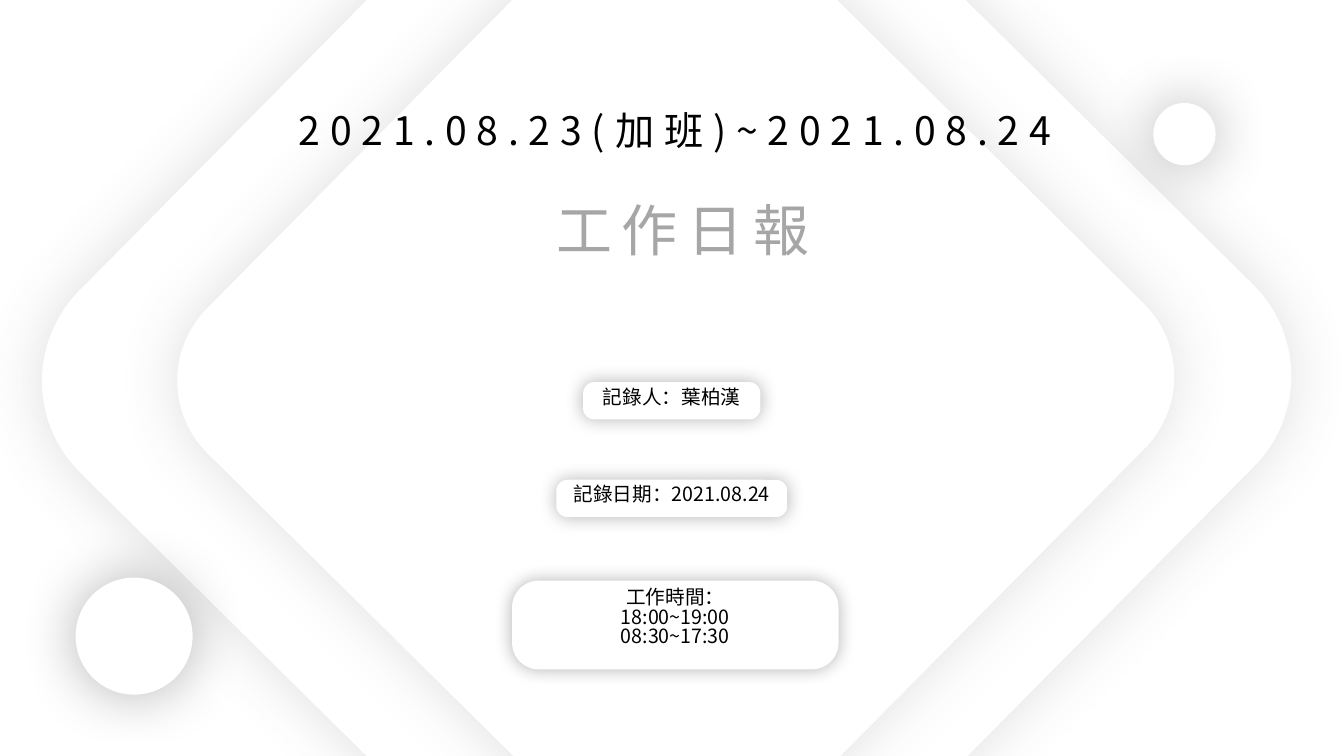
from lxml.etree import SubElement as Sub
from pptx import Presentation as Deck
from pptx.dml.color import RGBColor
from pptx.enum.shapes import MSO_SHAPE as Kind
from pptx.enum.text import MSO_ANCHOR as Anchor, MSO_AUTO_SIZE as Fit, PP_ALIGN as Align
from pptx.oxml.ns import qn
from pptx.util import Cm, Pt

WHITE = RGBColor(0xFF, 0xFF, 0xFF)
BLACK = RGBColor(0x00, 0x00, 0x00)
GRAY = RGBColor(0xA6, 0xA6, 0xA6)
SMOKE = RGBColor(0x59, 0x59, 0x59)
FONT = "Noto Sans CJK SC"


def write(frame, text, size=14, color=BLACK, gap=0):
    for i, line in enumerate(text.split("\n")):
        para = frame.add_paragraph() if i else frame.paragraphs[0]
        para.alignment = Align.CENTER
        para.line_spacing = 0.83
        run = para.add_run()
        run.text = line
        font = run.font
        font.size = Pt(size)
        font.color.rgb = color
        font.name = FONT
        props = run._r.get_or_add_rPr()
        Sub(props, qn("a:ea"), typeface=FONT)
        if gap:
            props.set("spc", str(gap * 100))


class Page:
    def __init__(self, deck):
        self.slide = deck.slides.add_slide(deck.slide_layouts[6])
        self.shapes = self.slide.shapes
        fill = self.slide.background.fill
        fill.solid()
        fill.fore_color.rgb = WHITE

    def box(self, x, y, wide, high):
        return Cm(x - wide / 2), Cm(y - high / 2), Cm(wide), Cm(high)

    def glow(self, shape, color, alpha, blur):
        shape.shadow.inherit = False
        effect = shape._element.spPr.find(qn("a:effectLst"))
        outer = Sub(effect, qn("a:outerShdw"), blurRad=str(Pt(blur)), dist="0",
                    dir="0", algn="ctr", rotWithShape="0")
        tint = Sub(outer, qn("a:srgbClr"), val=str(color))
        Sub(tint, qn("a:alpha"), val=str(alpha * 1000))

    def plate(self, kind, x, y, wide, high, color=BLACK, alpha=30, blur=43, bend=None, turn=0):
        shape = self.shapes.add_shape(kind, *self.box(x, y, wide, high))
        shape.fill.solid()
        shape.fill.fore_color.rgb = WHITE
        shape.line.fill.background()
        shape.rotation = turn
        if bend is not None:
            shape.adjustments[0] = bend
        self.glow(shape, color, alpha, blur)
        return shape

    def text(self, words, x, y, wide, high, **style):
        label = self.shapes.add_textbox(*self.box(x, y, wide, high))
        frame = label.text_frame
        frame.word_wrap = True
        frame.auto_size = Fit.SHAPE_TO_FIT_TEXT
        frame.vertical_anchor = Anchor.TOP
        write(frame, words, **style)
        return label

    def diamond(self, x, y, side):
        self.plate(Kind.ROUNDED_RECTANGLE, x, y, side, side,
                   color=SMOKE, alpha=19, bend=0.134, turn=44.7)

    def disc(self, x, y, size):
        self.plate(Kind.OVAL, x, y, size, size)

    def pill(self, words, x, y, wide, high, span, tall):
        plate = self.plate(Kind.ROUNDED_RECTANGLE, x, y, wide, high, blur=13, bend=0.302)
        label = self.text(words, x, y, span, tall)
        self.shapes.add_group_shape([plate, label])


deck = Deck()
deck.slide_width, deck.slide_height = Cm(33.87), Cm(19.05)
page = Page(deck)

page.diamond(16.8, 9.54, 24.16)
page.diamond(17.03, 9.54, 19.28)
page.text("2021.08.23(加班)~2021.08.24", 17.01, 3.49, 20.5, 1.45, size=28, gap=7)
page.text("工作日報", 17.21, 6.08, 12.07, 1.96, size=40, color=GRAY, gap=7)
page.disc(3.38, 16.03, 2.95)
page.disc(29.85, 3.38, 1.57)
page.pill("記錄人：葉柏漢", 16.93, 10.1, 4.47, 0.94, 5.31, 0.86)
page.pill("記錄日期：2021.08.24", 16.93, 12.56, 5.82, 0.94, 6.12, 0.86)
page.pill("工作時間：\n18:00~19:00\n08:30~17:30", 17.02, 15.75, 8.23, 2.24, 8.66, 2.06)

deck.save("out.pptx")
